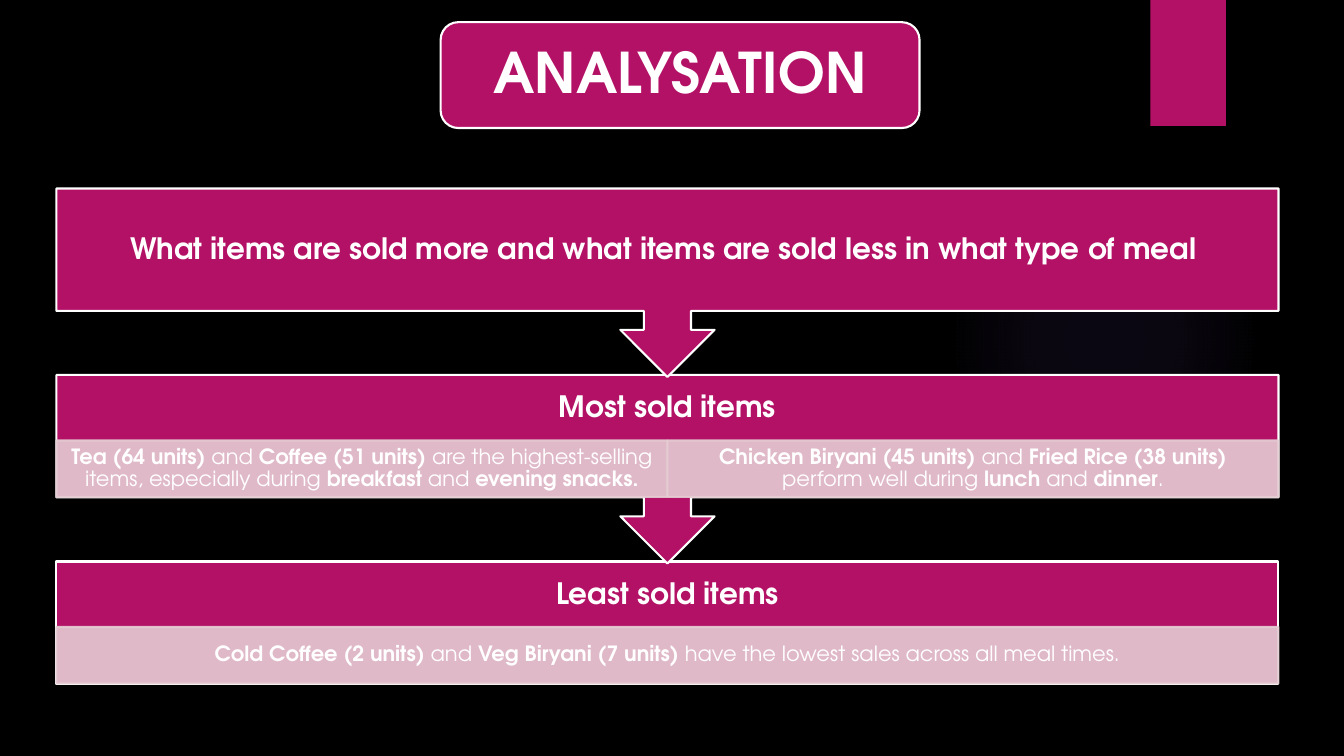
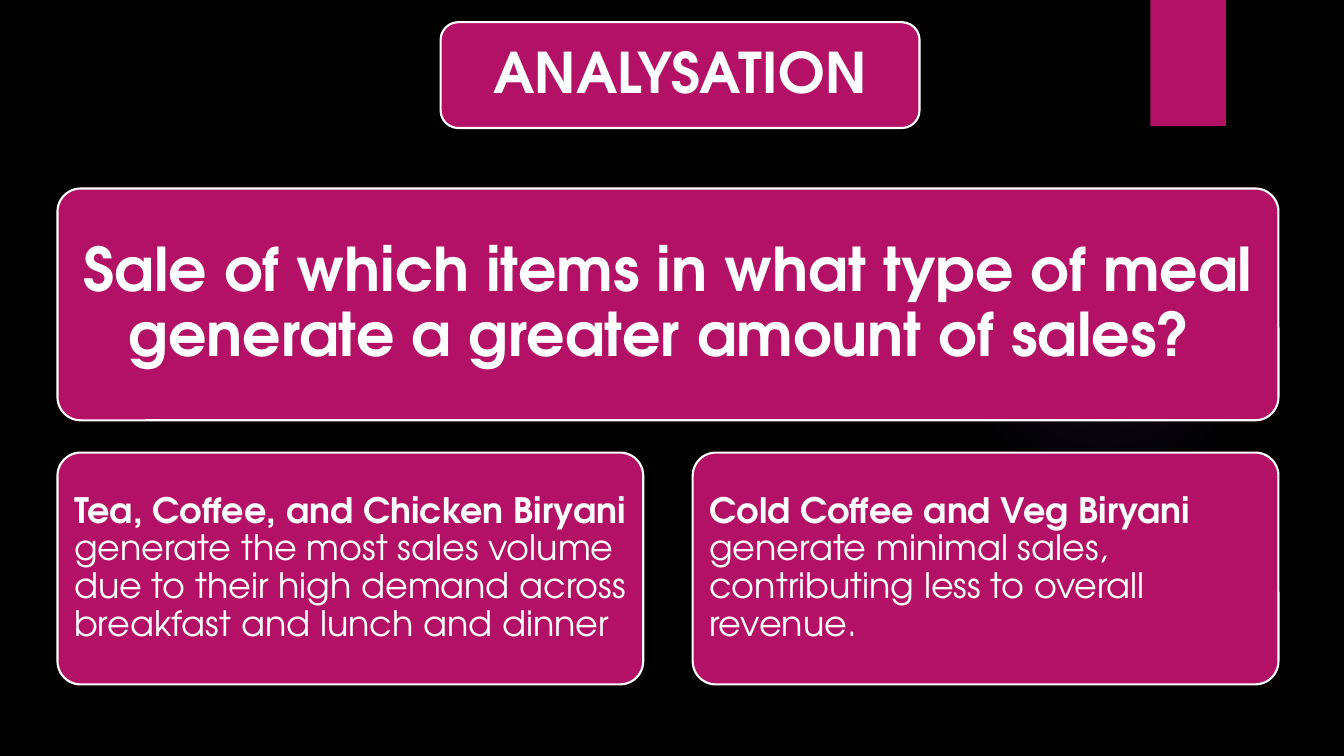
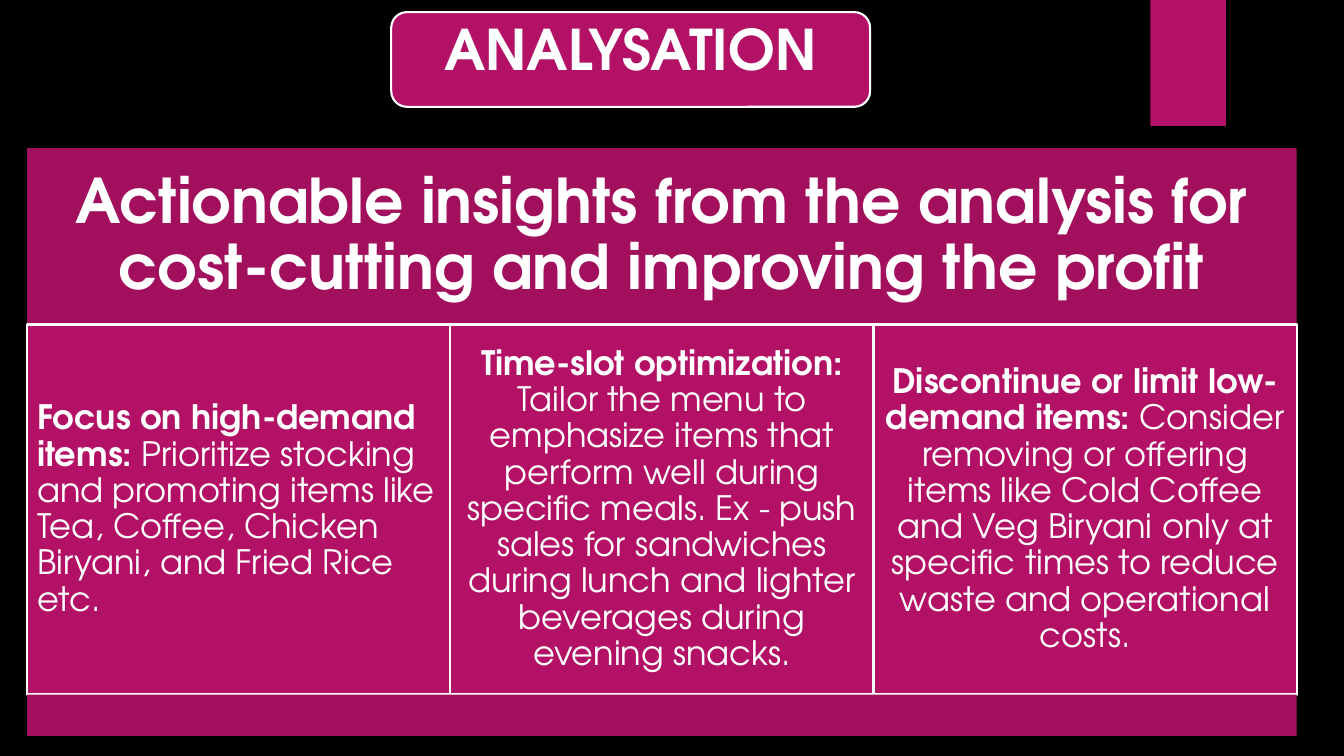
import lxml.etree
import pptx
import pptx.dml.color
import pptx.enum.shapes
import pptx.enum.text
import pptx.oxml
import pptx.oxml.ns
import pptx.util

Inches = pptx.util.Inches
SHAPE = pptx.enum.shapes.MSO_SHAPE
ALIGN = pptx.enum.text.PP_ALIGN

MAGENTA, DEEP_MAGENTA, BLUSH = "B31166", "A20F5D", "E5CCD3"
WHITE, BLACK, VIOLET = "FFFFFF", "000000", "9B6BF2"
GLOW_STOPS = ((0, 7), (36, 6), (69, 0))  # position and opacity in percent


def rgb(hex_code):
    return pptx.dml.color.RGBColor.from_string(hex_code)


class Deck:
    """Holds the common style and the slide being built."""

    font = "TeX Gyre Adventor"
    outline = 1.5

    def __init__(self):
        self.file = pptx.Presentation()
        self.file.slide_width = Inches(13.33)
        self.file.slide_height = Inches(7.5)
        self.layout = self.file.slide_layouts[5]
        backdrop = self.file.slide_master.background.fill
        backdrop.solid()
        backdrop.fore_color.rgb = rgb(BLACK)
        self.slide = None

    def new_slide(self, title, left=4.37, top=0.22, height=1.05, title_height=0.95):
        """Start a slide with its glow, bookmark and title badge."""
        self.slide = self.file.slides.add_slide(self.layout)
        self.glow(9.41, 1.83, 3.08)
        self.block(11.41, 0, 0.75, 1.25, line=None)
        self.block(left, top, 4.75, height, kind=SHAPE.ROUNDED_RECTANGLE)

        heading = self.slide.shapes.title
        heading.left, heading.top = Inches(left + 0.05), Inches(top + 0.05)
        heading.width, heading.height = Inches(4.65), Inches(title_height)
        self.add_text(heading, [title], 40, inset=0.17)
        self.slide.shapes._spTree.append(heading._element)  # in front of the badge

    def glow(self, left, top, size):
        halo = self.block(left, top, size, size, kind=SHAPE.OVAL, line=None)
        stops = "".join(
            f'<a:gs pos="{position * 1000}"><a:srgbClr val="{VIOLET}">'
            f'<a:alpha val="{opacity * 1000}"/></a:srgbClr></a:gs>'
            for position, opacity in GLOW_STOPS)
        gradient = pptx.oxml.parse_xml(
            f'<a:gradFill {pptx.oxml.ns.nsdecls("a")}><a:gsLst>{stops}</a:gsLst>'
            '<a:path path="circle"><a:fillToRect l="50000" t="50000" r="50000" b="50000"/>'
            '</a:path></a:gradFill>')
        properties = halo._element.spPr
        properties.replace(properties.find(pptx.oxml.ns.qn("a:solidFill")), gradient)

    def block(self, left, top, width, height, kind=SHAPE.RECTANGLE,
              fill=MAGENTA, line=WHITE):
        shape = self.slide.shapes.add_shape(
            kind, Inches(left), Inches(top), Inches(width), Inches(height))
        shape.shadow.inherit = False
        shape.fill.solid()
        shape.fill.fore_color.rgb = rgb(fill)
        if line:
            shape.line.color.rgb = rgb(line)
            shape.line.width = pptx.util.Pt(self.outline)
        else:
            shape.line.fill.background()
        return shape

    def round_box(self, left, top, width, height, runs, size, **text_style):
        box = self.block(left, top, width, height, kind=SHAPE.ROUNDED_RECTANGLE)
        box.adjustments[0] = 0.1
        self.add_text(box, runs, size, **text_style)

    def detail_band(self, left, top, width, runs):
        """A pale, slightly see-through strip below a heading."""
        band = self.block(left, top, width, 0.56, fill=BLUSH, line=BLUSH)
        for color in band._element.spPr.iter(pptx.oxml.ns.qn("a:srgbClr")):
            lxml.etree.SubElement(color, pptx.oxml.ns.qn("a:alpha"), val="90000")
        self.add_text(band, runs, 15, inset=0.12, inset_top=0.02, inset_bottom=0.02)

    def add_text(self, shape, runs, size, inset=0.1, inset_top=None, inset_bottom=None,
                 align=ALIGN.CENTER):
        """Add one paragraph whose runs alternate bold and regular."""
        frame = shape.text_frame
        frame.word_wrap = True
        frame.auto_size = pptx.enum.text.MSO_AUTO_SIZE.NONE
        frame.vertical_anchor = pptx.enum.text.MSO_ANCHOR.MIDDLE
        frame.margin_left = frame.margin_right = Inches(inset)
        frame.margin_top = Inches(inset if inset_top is None else inset_top)
        frame.margin_bottom = Inches(inset if inset_bottom is None else inset_bottom)
        paragraph = frame.paragraphs[0]
        paragraph.alignment = align
        paragraph.line_spacing = 0.9
        for index, text in enumerate(runs):
            run = paragraph.add_run()
            run.text = text
            run.font.name = self.font
            run.font.size = pptx.util.Pt(size)
            run.font.bold = index % 2 == 0
            run.font.color.rgb = rgb(WHITE)


def items_by_meal(deck):
    deck.new_slide("ANALYSATION")
    left, width = 0.56, 12.12
    question_top, step = 1.87, 1.85
    # Heading, shape, height, and the details in the strip below it
    stages = [
        ("What items are sold more and what items are sold less in what type of meal ",
         SHAPE.DOWN_ARROW_CALLOUT, 1.87, []),
        ("Most sold items", SHAPE.DOWN_ARROW_CALLOUT, 1.87, [
            ["Tea (64 units)", " and ", "Coffee (51 units)",
             " are the highest-selling items, especially during ",
             "breakfast", " and ", "evening snacks."],
            ["Chicken Biryani (45 units)", " and ", "Fried Rice (38 units)",
             " perform well during ", "lunch", " and ", "dinner", "."]]),
        ("Least sold items", SHAPE.RECTANGLE, 1.22, [
            ["Cold Coffee (2 units)", " and ", "Veg Biryani (7 units)",
             " have the lowest sales across all meal times."]]),
    ]
    # From the bottom up, so that each arrow tip lies over the next stage
    for index, (heading, kind, height, details) in reversed(list(enumerate(stages))):
        top = question_top + index * step
        stage = deck.block(left, top, width, height, kind=kind)
        deck.add_text(stage, [heading], 21, inset=0.16,
                      inset_bottom=0.72 if details else 0.16)
        for column, runs in enumerate(details):
            share = width / len(details)
            deck.detail_band(left + column * share, top + 0.65, share, runs)


def sales_by_meal(deck):
    deck.new_slide("ANALYSATION")
    left, top, width, height = 0.57, 1.87, 12.11, 2.3
    deck.round_box(left, top, width, height, [
        "Sale of which items in what type of meal generate a greater amount of sales? "],
        43, inset=0.18)
    answers = [
        ["Tea, Coffee, and Chicken Biryani",
         " generate the most sales volume due to their high demand across "
         "breakfast and lunch and dinner"],
        ["Cold Coffee and Veg Biryani",
         " generate minimal sales, contributing less to overall revenue."],
    ]
    for column, runs in enumerate(answers):
        deck.round_box(left + column * 6.3, 4.49, 5.81, height, runs, 25,
                       align=ALIGN.LEFT)


def actionable_insights(deck):
    deck.new_slide("ANALYSATION", left=3.88, top=0.12, height=0.94, title_height=0.7)
    left, width = 0.27, 12.59
    header = deck.block(left, 1.47, width, 1.75, fill=DEEP_MAGENTA, line=None)
    deck.add_text(header, ["Actionable insights from the analysis for cost-cutting "
                           "and improving the profit"], 44, inset=0.18)
    insights = [
        (ALIGN.LEFT, "Focus on high-demand items:",
         " Prioritize stocking and promoting items like Tea, Coffee, "
         "Chicken Biryani, and Fried Rice etc."),
        (ALIGN.CENTER, "Time-slot optimization:",
         " Tailor the menu to emphasize items that perform well during specific "
         "meals. Ex - push sales for sandwiches during lunch and lighter "
         "beverages during evening snacks."),
        (ALIGN.CENTER, "Discontinue or limit low-demand items:",
         " Consider removing or offering items like Cold Coffee and Veg Biryani "
         "only at specific times to reduce waste and operational costs."),
    ]
    share = width / len(insights)
    for column, (align, *runs) in enumerate(insights):
        insight = deck.block(left + column * share, 3.22, share, 3.67)
        deck.add_text(insight, runs, 24, align=align)
    deck.block(left, 6.89, width, 0.41, fill=DEEP_MAGENTA, line=None)


def main():
    deck = Deck()
    items_by_meal(deck)
    sales_by_meal(deck)
    actionable_insights(deck)
    deck.file.save("out.pptx")


if __name__ == "__main__":
    main()
